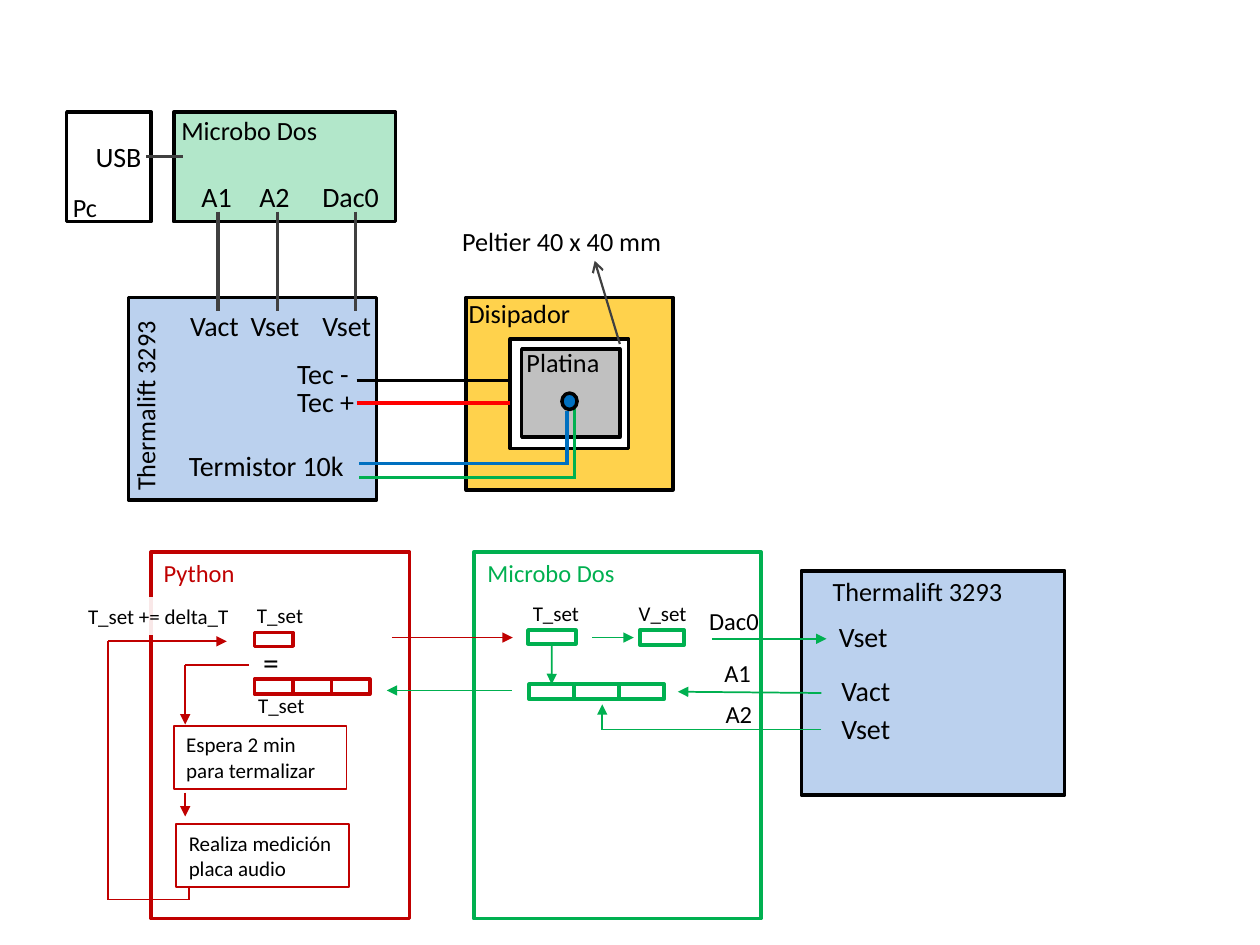
from lxml import etree
from pptx import Presentation
from pptx.dml.color import RGBColor
from pptx.enum.shapes import MSO_CONNECTOR, MSO_SHAPE
from pptx.enum.text import MSO_ANCHOR, PP_ALIGN
from pptx.oxml.ns import qn
from pptx.util import Inches, Pt

RECT, OVAL = MSO_SHAPE.RECTANGLE, MSO_SHAPE.OVAL
LINE = MSO_CONNECTOR.STRAIGHT
LEFT, TOP = PP_ALIGN.LEFT, MSO_ANCHOR.TOP
WIDE, TALL, COLS = 10, 7.5, 100
BLACK, WHITE, GRAY = "000000", "FFFFFF", "404040"
RED, GREEN, BLUE, SKY = "C00000", "00B050", "0070C0", "558ED5"
HIGH = {12: 3, 14: 3.4, 15: 3.5, 16: 3.7, 18: 4.9}
BOARD, DRIVER = "Microbo Dos", "Thermalift 3293"


def unit(n):
    return Inches(n * WIDE / COLS)


def color(code):
    return RGBColor.from_string(code)


def apply(item, form):
    for key, value in form.items():
        setattr(item, key, value)


def spot(box, x, y):
    return unit(box[0] + x), unit(box[1] + y)


def write(shape, text, size, ink=BLACK):
    frame = shape.text_frame
    apply(frame, {"word_wrap": True, "vertical_anchor": TOP})
    para = frame.paragraphs[0]
    para.alignment = LEFT
    run = para.add_run()
    apply(run, {"text": text})
    apply(run.font, {"name": "Calibri", "size": Pt(size)})
    run.font.color.rgb = color(ink)


def block(s, box, x, y, w, h, fill=None, alpha=100, edge=BLACK, wide=2, kind=RECT):
    shape = s.add_shape(kind, *spot(box, x, y), unit(w), unit(h))
    shape.shadow.inherit = False
    if fill:
        shape.fill.solid()
        shape.fill.fore_color.rgb = color(fill)
        if alpha < 100:
            tint = shape.fill._xPr.find(qn("a:solidFill"))[0]
            etree.SubElement(tint, qn("a:alpha"), val=str(alpha * 1000))
    else:
        shape.fill.background()
    if edge:
        shape.line.color.rgb = color(edge)
        shape.line.width = Pt(wide)
    else:
        shape.line.fill.background()
    return shape


def label(s, box, text, x, y, w, size=16, ink=BLACK, turn=0):
    shape = s.add_textbox(*spot(box, x, y), unit(w), unit(HIGH[size]))
    shape.rotation = turn
    write(shape, text, size, ink)


def wire(s, box, x, y, x2, y2, ink=GRAY, wide=1.75, head=None):
    link = s.add_connector(LINE, *spot(box, x, y), *spot(box, x2, y2))
    link.line.color.rgb = color(ink)
    link.line.width = Pt(wide)
    if head:
        etree.SubElement(link.line._get_or_add_ln(), qn("a:tailEnd"), type=head)
    etree.SubElement(link._element.spPr, qn("a:effectLst"))
    return link


def flow(s, box, ink, *lines):
    for *ends, head in lines:
        wire(s, box, *ends, ink, 1, "triangle" if head else None)


def cells(s, box, x, y, w, h, count, ink):
    return [block(s, box, x + i * w, y, w, h, edge=ink) for i in range(count)]


def host(s, box):
    block(s, box, 0, 0, *box[2:])
    label(s, box, "Pc", -0.5, 5.8, 16.8, 15)
    label(s, box, "USB", 1.3, 1.7, 7.2)
    wire(s, box, 6.3, 3.5, 9.2, 3.5)


def board(s, box):
    block(s, box, 0, 0, *box[2:], GREEN, 30)
    label(s, box, BOARD, -0.4, -0.3, 16.8, 15)
    for text, x in (("A1", 1.2), ("A2", 5.8), ("Dac0", 10.8)):
        label(s, box, text, x, 4.9, 7.9)


def driver(s, box):
    block(s, box, 0, 0, *box[2:], SKY, 40)
    label(s, box, DRIVER, -7.1, 6.2, 16.8, 15, turn=270)
    for text, x, y, w in (("Vact", 3.9, 0.4, 7.9), ("Vset", 8.7, 0.4, 7.9),
                          ("Vset", 14.4, 0.4, 7.9), ("Tec -", 12.4, 4.2, 7.9),
                          ("Tec +", 12.4, 6.4, 7.9), ("Termistor 10k", 3.8, 11.5, 14.4)):
        label(s, box, text, x, y, w)


def sink(s, box):
    block(s, box, 0, 0, *box[2:], "FFC000", 70)
    block(s, box, 3.5, 3.3, 9.4, 8.7, WHITE)
    block(s, box, 4.4, 4.1, 7.8, 7, "A6A6A6", 70)
    label(s, box, "Disipador", -0.8, -0.5, 16.8, 15)
    label(s, box, "Platina", 3.8, 3.4, 16.8, 15)
    label(s, box, "Peltier 40 x 40 mm", -1.3, -6.2, 18.6, 15)
    wire(s, box, 12.2, 3.7, 10.2, -2.9, GRAY, 1.25, "arrow")


def cables(s, box):
    for x in (7.1, 11.8, 18):
        wire(s, box, x, -6.8, x, 1.1)
    for x, y, x2, y2, ink in ((18.1, 6.6, 30.3, 6.6, BLACK), (18.1, 8.4, 30.3, 8.4, "FF0000"),
                              (18.3, 13.2, 34.7, 13.2, BLUE), (18.3, 14.3, 35.5, 14.3, GREEN),
                              (34.8, 13.3, 34.8, 9, BLUE), (35.4, 14.2, 35.4, 8.7, GREEN)):
        wire(s, box, x, y, x2, y2, ink, 2)
    block(s, box, 34.4, 7.6, 1.2, 1.3, BLUE, kind=OVAL)


def script(s, box):
    block(s, box, 0, 0, *box[2:], edge=RED)
    label(s, box, "Python", 0, 0, 13.5, 14, RED)
    cells(s, box, 8.2, 6.4, 3.05, 1.1, 1, RED)
    cells(s, box, 8.2, 10.1, 3.05, 1.2, 3, RED)
    for text, x, y, size in (("T_set", 7.4, 3.5, 12), ("=", 7.9, 6.7, 18), ("T_set", 7.5, 10.7, 12)):
        label(s, box, text, x, y, 6.7, size)
    for text, x, y in (("Espera 2 min para termalizar", 1.8, 13.8),
                       ("Realiza medición placa audio", 2, 21.6)):
        write(block(s, box, x, y, 13.7, 5, edge=RED, wide=1), text, 12)
    flow(s, box, RED, (2.7, 9, 2.7, 13.7, True), (2.7, 9, 7.8, 9, False),
         (2.7, 19.1, 2.7, 21, True), (-3.4, 7.1, 6, 7.1, True),
         (-3.4, 27.6, 3, 27.6, False), (3, 26.5, 3, 27.6, False), (-3.4, 7.1, -3.4, 27.6, False))
    step = block(s, box, -6, 3.6, 13.8, 3, WHITE, 91, None)
    write(step, "T_set += delta_T", 12)


def relay(s, box):
    block(s, box, 0, 0, *box[2:], edge=GREEN)
    label(s, box, BOARD, 0.1, 0, 13.5, 14, GREEN)
    source = cells(s, box, 4.3, 6.2, 3.8, 1.1, 1, GREEN)[0]
    cells(s, box, 13.2, 6.2, 3.5, 1.2, 1, GREEN)
    store = cells(s, box, 4.4, 10.5, 3.57, 1.2, 3, GREEN)[0]
    for text, x in (("T_set", 3.7), ("V_set", 12.1)):
        label(s, box, text, x, 3.4, 6.9, 12)
    flow(s, box, GREEN, (9.4, 6.8, 12.7, 6.8, True))
    drop = wire(s, box, 6.2, 7.3, 6.2, 10.5, GREEN, 1, "triangle")
    drop.begin_connect(source, 2)
    drop.end_connect(store, 0)


def target(s, box):
    block(s, box, 0, 0, *box[2:], SKY, 40)
    label(s, box, DRIVER, 1.5, -0.1, 16.8, 15)
    for text, x, y in (("Vset", 2, 3.4), ("Vact", 2.2, 7.7), ("Vset", 2.2, 10.7)):
        label(s, box, text, x, y, 7.9)


def links(s, box):
    flow(s, box, RED, (-6.5, 6.8, 3.1, 6.8, True))
    flow(s, box, GREEN, (3, 11, -6.9, 11, True), (18.9, 6.9, 28, 6.9, True),
         (27.6, 11.2, 16.2, 11.1, True), (27.6, 14.1, 10.2, 14.1, False),
         (10.2, 14.1, 10.2, 12.1, True))
    for text, x, y in (("Dac0", 17.7, 3.8), ("A1", 18.9, 7.9), ("A2", 19, 11.2)):
        label(s, box, text, x, y, 7.9, 14)


def main():
    deck = Presentation()
    deck.slide_width, deck.slide_height = Inches(WIDE), Inches(TALL)
    s = deck.slides.add_slide(deck.slide_layouts[6]).shapes
    for draw, box in ((board, (13.8, 8.9, 17.6, 8.7)), (driver, (10.2, 23.6, 19.7, 16.1)),
                      (sink, (37, 23.6, 16.4, 15.3)), (cables, (10.2, 23.6, 43.2, 15.3)),
                      (host, (5.3, 8.9, 6.7, 8.7)), (script, (12, 43.8, 20.5, 29.1)),
                      (relay, (37.6, 43.8, 22.8, 29.1)), (target, (63.6, 45.3, 20.9, 17.8)),
                      (links, (37.6, 43.8, 46.9, 29.1))):
        draw(s, box)
    deck.save("out.pptx")


if __name__ == "__main__":
    main()
